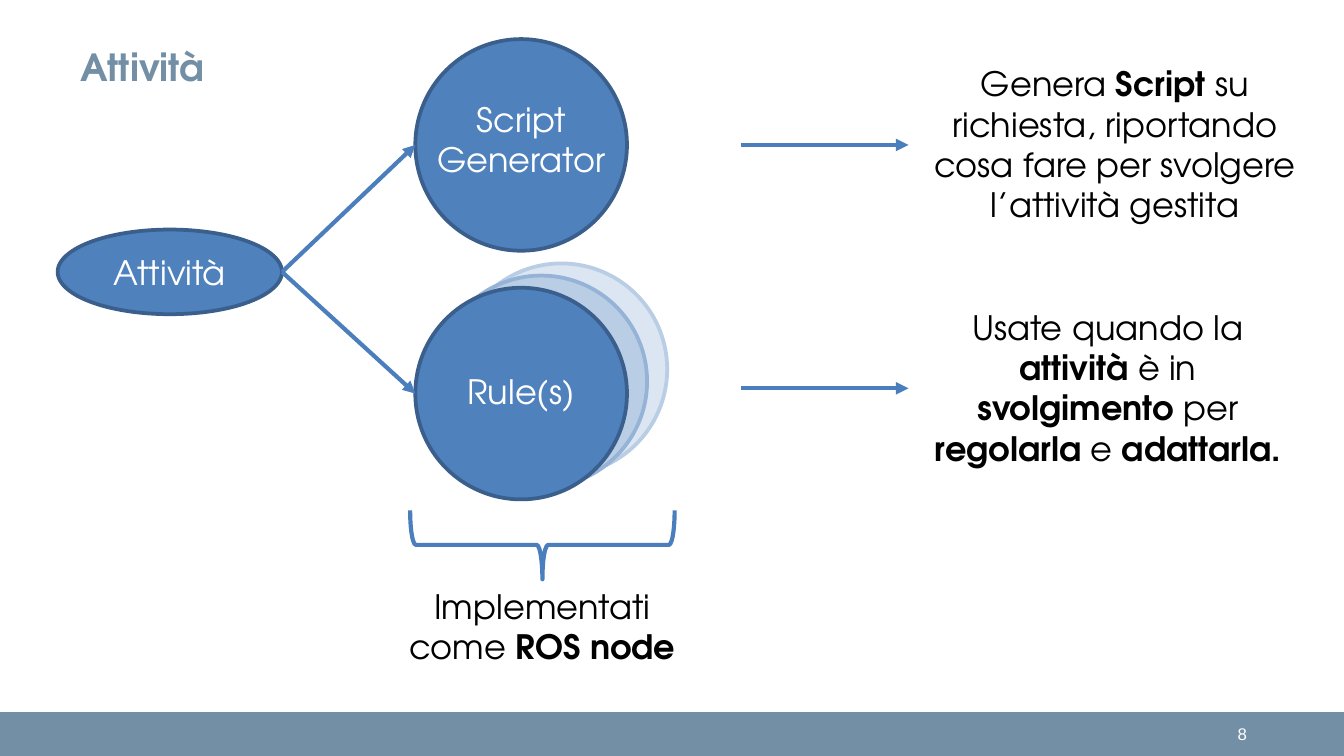
from lxml import etree
from pptx import Presentation
from pptx.dml.color import RGBColor
from pptx.enum.shapes import MSO_CONNECTOR as Connector, MSO_SHAPE as Shape
from pptx.enum.text import MSO_ANCHOR as Anchor, PP_ALIGN as Align
from pptx.oxml.ns import qn
from pptx.util import Cm, Pt

FONT = "TeX Gyre Adventor"
SLATE, BLUE, NAVY, STROKE = "728FA5", "4F81BD", "3A5F8C", "4B7EBC"
WHITE, BLACK = "FFFFFF", "000000"


def paint(color_format, color):
    color_format.rgb = RGBColor.from_string(color)


def write(frame, text, size=18, color=BLACK, font=FONT, align=Align.CENTER,
          anchor=Anchor.TOP, wrap=True):
    frame.word_wrap = wrap
    frame.vertical_anchor = anchor
    paragraph = frame.paragraphs[0]
    paragraph.alignment = align
    for index, part in enumerate(text.split("**")):
        if part:
            run = paragraph.add_run()
            run.text = part
            run.font.name = font
            run.font.size = Pt(size)
            run.font.bold = index % 2 == 1
            paint(run.font.color, color)


def add_label(slide, box, text, **style):
    label = slide.shapes.add_textbox(*map(Cm, box))
    write(label.text_frame, text, **style)


def add_figure(slide, kind, box, fill=None, line=None, width=2):
    figure = slide.shapes.add_shape(kind, *map(Cm, box))
    figure.shadow.inherit = False
    if fill:
        figure.fill.solid()
        paint(figure.fill.fore_color, fill)
    else:
        figure.fill.background()
    if line:
        paint(figure.line.color, line)
        figure.line.width = Pt(width)
    else:
        figure.line.fill.background()
    return figure


def add_arrow(slide, start, end):
    arrow = slide.shapes.add_connector(Connector.STRAIGHT, *map(Cm, start + end))
    paint(arrow.line.color, STROKE)
    arrow.line.width = Pt(2.25)
    outline = arrow.line._get_or_add_ln()
    etree.SubElement(outline, qn("a:tailEnd"), type="triangle")
    etree.SubElement(arrow._element.spPr, qn("a:effectLst"))


def add_footer(slide, left, top, width, height, number):
    add_figure(slide, Shape.RECTANGLE, (left, top, width, height), SLATE)
    add_label(slide, (left + width - 2.26, top + 0.1, 0.91, 0.64), number,
              size=9, color=WHITE, font="Arial", align=Align.LEFT, wrap=False)


def add_activity_tree(slide, left, top, width, height):
    diameter = 4
    circle_left = left + width - diameter
    rules_top = top + height - diameter

    for depth, fill, line in ((2, "DCE6F2", "B9CDE5"), (1, "B9CDE5", "95B3D7")):
        ghost = (circle_left + 0.38 * depth, rules_top - 0.23 * depth, diameter, diameter)
        add_figure(slide, Shape.OVAL, ghost, fill, line)

    activity_width, activity_height = 4.24, 1.6
    activity_top = top + 3.6
    activity = add_figure(slide, Shape.OVAL,
                          (left, activity_top, activity_width, activity_height), BLUE, NAVY)
    write(activity.text_frame, "Attività", color=WHITE, anchor=Anchor.MIDDLE)
    fork = (left + activity_width, activity_top + activity_height / 2)

    for text, circle_top, text_offset in (("Script Generator", top, 1),
                                          ("Rule(s)", rules_top, 1.44)):
        add_figure(slide, Shape.OVAL, (circle_left, circle_top, diameter, diameter), BLUE, NAVY)
        add_label(slide, (circle_left + 0.12, circle_top + text_offset, 3.76, 1.8),
                  text, color=WHITE)
        add_arrow(slide, fork, (circle_left, circle_top + diameter / 2))


def add_implementation(slide, left, top, width, height):
    span, depth = 5, 1.3
    center = left + width / 2
    brace = add_figure(slide, Shape.RIGHT_BRACE,
                       (center - depth / 2, top + (depth - span) / 2, depth, span),
                       line=STROKE, width=2.25)
    brace.rotation = 90
    add_label(slide, (left, top + depth, width, height - depth),
              "Implementati come **ROS node**")


def add_explanation(slide, left, top, width, height, text):
    arrow_length = 3.17
    text_left = left + arrow_length
    arrow_y = top + height / 2
    add_arrow(slide, (left, arrow_y), (text_left, arrow_y))
    add_label(slide, (text_left, top, width - arrow_length, height), text)


def main():
    deck = Presentation()
    deck.slide_width, deck.slide_height = Cm(25.4), Cm(14.29)
    slide = deck.slides.add_slide(deck.slide_layouts[6])

    add_footer(slide, 0, 13.46, 25.4, 0.83, "8")
    add_label(slide, (1.27, 0.58, 22.86, 1.37), "**Attività**", size=20,
              color=SLATE, align=Align.LEFT, anchor=Anchor.MIDDLE)
    add_activity_tree(slide, 1.09, 0.74, 10.76, 8.7)
    add_implementation(slide, 7.45, 9.65, 5.6, 3.1)
    add_explanation(slide, 14, 1.07, 10.97, 3.34,
                    "Genera **Script **su richiesta, riportando cosa fare "
                    "per svolgere l’attività gestita")
    add_explanation(slide, 14, 5.67, 10.71, 3.34,
                    "Usate quando la **attività** è in **svolgimento** per "
                    "**regolarla** e **adattarla.**")
    deck.save("out.pptx")


if __name__ == "__main__":
    main()
